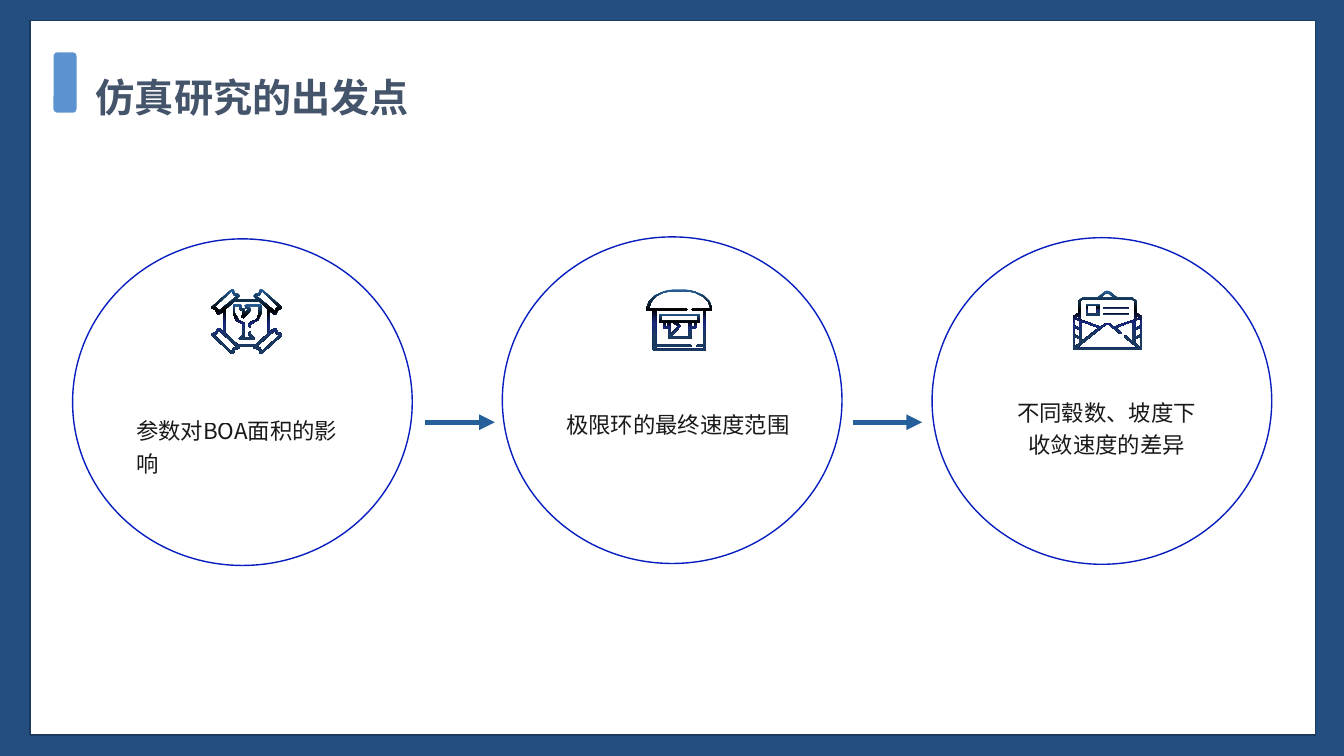
from lxml.etree import SubElement
from pptx import Presentation
from pptx.dml.color import RGBColor as Rgb
from pptx.enum.shapes import MSO_CONNECTOR as Connector, MSO_SHAPE as Preset
from pptx.enum.text import MSO_ANCHOR as Anchor, MSO_AUTO_SIZE as AutoSize, PP_ALIGN as Align
from pptx.oxml.ns import qn
from pptx.util import Cm, Pt

COLORS = {
    "page": "244E7F", "panel": "FFFFFF", "panel_edge": "1B3A5E", "marker": "5D92D1",
    "title": "44546A", "circle": "081EBE", "arrow": "26609A", "text": "000000",
}
ICON_STOPS = [(0, "26609A"), (33, "000000"), (54, "19287D"), (77, "1B3A5F")]
ICON_UNIT = Cm(2.54) / 100


# Icon outlines, in hundredths of an inch from the icon's corner
def outline(points):
    return [tuple(float(n) for n in pair.split(",")) for pair in points.split()]


def flipped(points, width):
    return [(width - x, y) for x, y in reversed(outline(points))]


def symmetric(right_half, width):
    return outline(right_half) + flipped(right_half, width)


def both_sides(width, *right_parts):
    return [side for part in right_parts for side in (outline(part), flipped(part, width))]


def box(left, top, right, bottom):
    return [(left, top), (right, top), (right, bottom), (left, bottom)]


GLASS = [outline(
    "49,16 35,16 33,17 34,20 36,21 33,25 33,21 32,20 30,20 30,17 29,16 22,16 21,17 21,24 "
    "24,32 31,36 31,46 27,50 28,51 43,51 43,50 39,46 39,44 38,43 37,44 37,47 40,49 31,49 "
    "33,47 33,35 27,32 23,24 23,18 28,18 28,21 29,22 31,22 30,29 32,30 39,22 39,20 36,19 "
    "36,18 47,18 47,24 45,31 38,34 37,35 37,38 38,39 39,38 39,36 46,32 50,24 50,17")]
CARTON = [
    symmetric("45,11 42,8 43,6 47,5 48,1 50,1 70,19 70,20 66,22 64,26 62,26 58,23 58,43 "
              "62,40 64,40 66,44 70,45 70,47 50,65 48,65 47,61 42,60 42,58", 70),
    symmetric("47,13 56,21 56,45 44,56", 70),
    *both_sides(70, "45,8 48,7 50,3 67,19 64,20 63,23", "50,63 48,59 45,58 63,42 64,45 67,47"),
]
WINDOW = [
    symmetric("53,24 54,25 54,32 53,33 50,33 50,38 49,39 45,39 45,48 44,49", 67),
    box(15, 26, 51, 31), box(19, 33, 21, 37), box(45, 33, 48, 37),
    outline("42,47 25,47 34,37 34,36 31,33 42,33"), outline("24,45 24,33 27,33 32,37"),
]
STORE = [
    symmetric("39,0 48,2 57,6 63,12 66,20 65,21 59,21 59,60 58,61", 66),
    outline("47,19 45,20 47,21 57,21 57,55 51,55 50,56 51,57 57,57 57,59 10,59 10,57 44,57 "
            "45,56 44,55 10,55 10,21 40,21 41,20 40,19 3,19 5,13 10,7 18,3 28,2 39,2 48,3 "
            "56,7 62,13 64,19"),
]
STAMP = [box(13, 13, 27, 25), box(15, 15, 24, 23)]
LETTER_LINES = [[box(30, top, 56, top + 2)] for top in (16, 22)]
ENVELOPE = [
    symmetric("34.5,0 37,1 44,7 59,7 63,10 63,22 69,26 69,58 68,59", 69),
    symmetric("36,3 41,7", 69),
    symmetric("59,9 61,10 61,29 41,36 37,33", 69),
    *both_sides(69, "63,24 66,27 63,28", "62,30 67,28 67,35 62,37",
                "62,39 67,37 67,44 62,46", "62,48 67,46 67,56 62,52"),
    outline("26,37 9,50 9,31"),
    outline("4,57 33,34 36,34 47,43 49,43 49,42 43,37 59,31 59,50 53,45 52,45 52,47 65,57"),
]


class Deck:
    title_font, body_font = "Roboto", "Noto Sans CJK SC"

    def __init__(self):
        self.prs = Presentation()
        self.prs.slide_width, self.prs.slide_height = Cm(33.87), Cm(19.05)
        self.slide = self.prs.slides.add_slide(self.prs.slide_layouts[5])
        self.shapes = self.slide.shapes

    def color(self, name):
        return Rgb.from_string(COLORS[name])

    def background(self, name):
        fill = self.slide.background.fill
        fill.solid()
        fill.fore_color.rgb = self.color(name)

    def preset(self, kind, left, top, width, height, fill=None, line=None):
        shape = self.shapes.add_shape(kind, Cm(left), Cm(top), Cm(width), Cm(height))
        shape.shadow.inherit = False
        if fill:
            shape.fill.solid()
            shape.fill.fore_color.rgb = self.color(fill)
        else:
            shape.fill.background()
        if line:
            shape.line.color.rgb = self.color(line)
            shape.line.width = Pt(1)
        else:
            shape.line.fill.background()

    def style(self, shape, font, size, color, bold=False):
        para = shape.text_frame.paragraphs[0]
        para.font.name, para.font.size, para.font.bold = font, Pt(size), bold
        para.font.color.rgb = self.color(color)
        # The same face for Chinese characters
        for latin in list(shape.element.iter(qn("a:latin"))):
            east_asian = SubElement(latin.getparent(), qn("a:ea"), typeface=font)
            latin.addnext(east_asian)
        return para

    def title(self, text, left, top, width, height):
        title = self.shapes.title
        title.left, title.top, title.width, title.height = Cm(left), Cm(top), Cm(width), Cm(height)
        title.text_frame.text = text
        title.text_frame.vertical_anchor = Anchor.BOTTOM
        title.text_frame.auto_size = AutoSize.NONE
        self.style(title, self.title_font, 28, "title", bold=True).alignment = Align.LEFT
        # In front of the panel
        title.element.getparent().append(title.element)

    def caption(self, text, left, top, width, height, align):
        caption = self.shapes.add_textbox(Cm(left), Cm(top), Cm(width), Cm(height))
        frame = caption.text_frame
        frame.text = text
        frame.word_wrap = True
        frame.auto_size = AutoSize.SHAPE_TO_FIT_TEXT
        para = self.style(caption, self.body_font, 16, "text")
        para.alignment, para.line_spacing = align, 1.2
        for ink in caption.element.iter(qn("a:srgbClr")):
            SubElement(ink, qn("a:alpha"), val="90000")

    def icon(self, contours, left, top):
        first, *others = contours
        builder = self.shapes.build_freeform(*first[0], scale=ICON_UNIT)
        builder.add_line_segments(first[1:], close=True)
        for contour in others:
            builder.move_to(*contour[0])
            builder.add_line_segments(contour[1:], close=True)
        shape = builder.convert_to_shape(Cm(left), Cm(top))
        shape.shadow.inherit = False
        shape.line.fill.background()
        shape.fill.gradient()
        shape.fill.gradient_angle = 270
        stops = next(shape.element.iter(qn("a:gsLst")))
        stops[:] = []
        for percent, value in ICON_STOPS:
            stop = SubElement(stops, qn("a:gs"), pos=str(percent * 1000))
            SubElement(stop, qn("a:srgbClr"), val=value)

    def arrow(self, left, y, length):
        arrow = self.shapes.add_connector(
            Connector.STRAIGHT, Cm(left), Cm(y), Cm(left + length), Cm(y))
        arrow.line.color.rgb = self.color("arrow")
        arrow.line.width = Pt(3.75)
        SubElement(arrow.line._get_or_add_ln(), qn("a:tailEnd"), type="triangle")
        SubElement(arrow.element.spPr, qn("a:effectLst"))


def main():
    deck = Deck()

    # Page frame and heading
    deck.background("page")
    deck.preset(Preset.RECTANGLE, 0.76, 0.51, 32.39, 18.01, "panel", "panel_edge")
    deck.preset(Preset.ROUNDED_RECTANGLE, 1.35, 1.32, 0.58, 1.52, "marker")
    deck.title("仿真研究的出发点", 2.16, 1.35, 30.18, 1.8)

    # Three topics: circle top, icon parts and corner, caption and its box
    topics = [
        (6.02, [GLASS, CARTON], (5.33, 7.26),
         "参数对BOA面积的影响", (3.18, 10.26, 6.12, 1.02), Align.LEFT),
        (5.97, [WINDOW, STORE], (16.28, 7.29),
         "极限环的最终速度范围", (14.02, 10.11, 6.25, 1.02), Align.LEFT),
        (5.99, [STAMP, *LETTER_LINES, ENVELOPE], (27.03, 7.32),
         "不同毂数、坡度下收敛速度的差异", (25.25, 9.8, 5.28, 1.91), Align.CENTER),
    ]
    for index, (top, icon_parts, corner, text, text_box, align) in enumerate(topics):
        deck.preset(Preset.OVAL, 1.83 + 10.83 * index, top, 8.56, 8.23, line="circle")
        for part in icon_parts:
            deck.icon(part, *corner)
        deck.caption(text, *text_box, align)

    # Arrows between the topics
    for left in (10.72, 21.49):
        deck.arrow(left, 10.64, 1.75)

    deck.prs.save("out.pptx")


if __name__ == "__main__":
    main()
